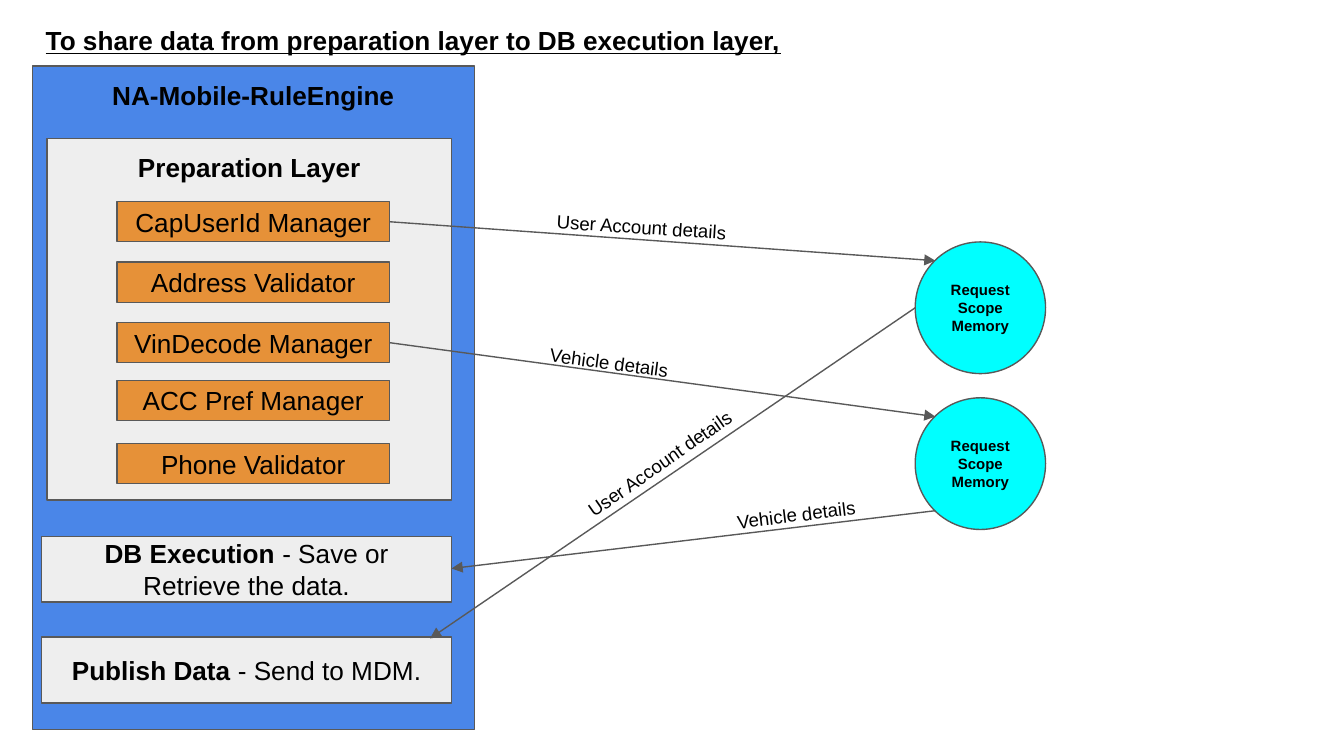
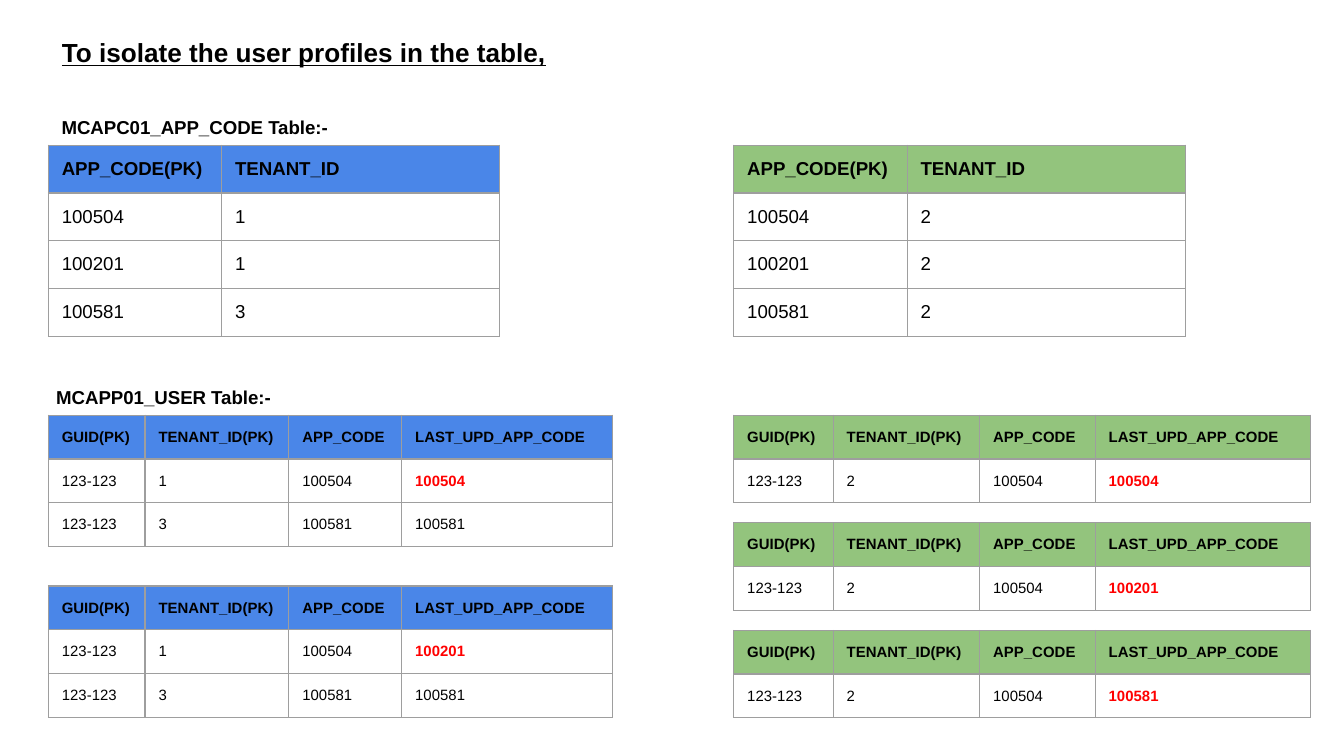
"""Two slides: data flow between layers, and user profiles by tenant."""
from dataclasses import dataclass

from lxml import etree
from pptx import Presentation
from pptx.dml.color import RGBColor
from pptx.enum.shapes import MSO_CONNECTOR, MSO_SHAPE
from pptx.enum.text import MSO_ANCHOR, MSO_AUTO_SIZE, PP_ALIGN
from pptx.oxml.ns import qn
from pptx.util import Inches, Pt

RECT, OVAL = MSO_SHAPE.RECTANGLE, MSO_SHAPE.OVAL
LINE = MSO_CONNECTOR.STRAIGHT
TOP, MIDDLE = MSO_ANCHOR.TOP, MSO_ANCHOR.MIDDLE
LEFT, CENTER = PP_ALIGN.LEFT, PP_ALIGN.CENTER
NO_FIT = MSO_AUTO_SIZE.NONE
TITLE_ONLY = 5


@dataclass(frozen=True)
class Theme:
    """Colours, type sizes and measures that the slides share."""
    font: str = "Arial"
    ink: str = "000000"
    paper: str = "FFFFFF"
    blue: str = "4A86E8"
    green: str = "93C47D"
    gray: str = "EEEEEE"
    orange: str = "E69138"
    cyan: str = "00FFFF"
    red: str = "FF0000"
    edge: str = "595959"
    grid: str = "9E9E9E"
    head: int = 14
    body: int = 10
    small: int = 8
    inset: float = 0.1
    rule: float = 0.75


def color(code):
    """Turn a hex code into a colour."""
    return RGBColor.from_string(code)


class Deck:
    """Holds the style and the current slide, and adds elements to it."""

    def __init__(self, theme):
        """Start an empty deck."""
        self.theme = theme
        self.file = Presentation()
        self.file.slide_width = Inches(10)
        self.file.slide_height = Inches(5.625)
        self.slide = None

    def start(self, title, box, anchor):
        """Add a slide and set its title."""
        self.slide = self.file.slides.add_slide(
            self.file.slide_layouts[TITLE_ONLY])
        shape = self.slide.shapes.title
        shape.left, shape.top, shape.width, shape.height = map(Inches, box)
        self.set_text(shape.text_frame, title, self.theme.head, True,
                      anchor=anchor)
        shape.text_frame.paragraphs[0].runs[0].font.underline = True

    def style(self, run, size, bold=False, ink=None):
        """Format one run."""
        font = run.font
        font.name, font.size, font.bold = self.theme.font, Pt(size), bold
        font.color.rgb = color(ink or self.theme.ink)

    def pad(self, item):
        """Give a frame or a cell the shared margins."""
        item.margin_left = item.margin_right = Inches(self.theme.inset)
        item.margin_top = item.margin_bottom = Inches(self.theme.inset)

    def set_text(self, frame, text, size, bold=False, align=LEFT, anchor=TOP,
                 rest=""):
        """Fill a frame with text, and an optional plain rest."""
        frame.auto_size = NO_FIT
        frame.word_wrap = True
        frame.vertical_anchor = anchor
        self.pad(frame)
        para = frame.paragraphs[0]
        para.text = text
        para.alignment = align
        self.style(para.runs[0], size, bold)
        if rest:
            run = para.add_run()
            run.text = rest
            self.style(run, size)

    def label(self, text, box, turn=0, bold=False):
        """Add a text box, turned by some degrees."""
        shape = self.slide.shapes.add_textbox(*map(Inches, box))
        shape.rotation = turn
        self.set_text(shape.text_frame, text, self.theme.body, bold)

    def block(self, text, box, fill, kind=RECT, size=None, bold=True,
              anchor=MIDDLE, rest=""):
        """Add a filled shape with centred text."""
        shape = self.slide.shapes.add_shape(kind, *map(Inches, box))
        shape.shadow.inherit = False
        shape.fill.solid()
        shape.fill.fore_color.rgb = color(fill)
        shape.line.color.rgb = color(self.theme.edge)
        shape.line.width = Pt(self.theme.rule)
        self.set_text(shape.text_frame, text, size or self.theme.head, bold,
                      CENTER, anchor, rest)

    def arrow(self, start, end):
        """Add a line with an arrowhead at its end."""
        link = self.slide.shapes.add_connector(
            LINE, *map(Inches, (*start, *end)))
        link.line.color.rgb = color(self.theme.edge)
        link.line.width = Pt(self.theme.rule)
        props = link.element.spPr
        etree.SubElement(props.find(qn("a:ln")), qn("a:tailEnd"),
                         type="triangle")
        etree.SubElement(props, qn("a:effectLst"))

    def border(self, cell):
        """Draw the four edges of a cell."""
        props = cell._tc.get_or_add_tcPr()
        for side in ("a:lnL", "a:lnR", "a:lnT", "a:lnB"):
            line = etree.SubElement(props, qn(side),
                                    w=str(Pt(self.theme.rule)))
            fill = etree.SubElement(line, qn("a:solidFill"))
            etree.SubElement(fill, qn("a:srgbClr"), val=self.theme.grid)

    def table(self, spot, cols, high, rows, fill, size, mark=None):
        """Add a table with a coloured head; mark is a (row, col) in red."""
        box = (*spot, sum(cols), high * len(rows))
        grid = self.slide.shapes.add_table(
            len(rows), len(cols), *map(Inches, box)).table
        grid.first_row = grid.horz_banding = False
        for col, wide in zip(grid.columns, cols):
            col.width = Inches(wide)
        for r, row in enumerate(rows):
            grid.rows[r].height = Inches(high)
            for c, text in enumerate(row):
                cell = grid.cell(r, c)
                self.border(cell)
                cell.fill.solid()
                cell.fill.fore_color.rgb = color(
                    self.theme.paper if r else fill)
                self.pad(cell)
                para = cell.text_frame.paragraphs[0]
                para.text = text
                hot = (r, c) == mark
                self.style(para.runs[0], size, hot or r == 0,
                           self.theme.red if hot else None)


def flow(deck):
    """Build the slide on sharing data between layers."""
    look = deck.theme
    deck.start("To share data from preparation layer to DB execution layer,",
               (0.24, 0.11, 9.32, 0.38), MIDDLE)
    deck.block("NA-Mobile-RuleEngine", (0.24, 0.49, 3.29, 4.94), look.blue,
               anchor=TOP)
    deck.block("Preparation Layer", (0.35, 1.03, 3.01, 2.69), look.gray,
               anchor=TOP)
    for name, rest, top in (
            ("DB Execution ", "- Save or Retrieve the data.", 3.99),
            ("Publish Data ", "- Send to MDM.", 4.74)):
        deck.block(name, (0.31, top, 3.05, 0.49), look.gray, rest=rest)
    for name, top in (("CapUserId Manager", 1.5), ("Address Validator", 1.95),
                      ("VinDecode Manager", 2.4), ("ACC Pref Manager", 2.83),
                      ("Phone Validator", 3.3)):
        deck.block(name, (0.87, top, 2.03, 0.3), look.orange, bold=False)
    for top in (1.8, 2.96):
        deck.block("Request Scope Memory", (6.81, top, 0.97, 0.98), look.cyan,
                   OVAL, look.small)
    for start, end in (((2.9, 1.65), (6.96, 1.94)),
                       ((2.9, 2.55), (6.96, 3.1)),
                       ((6.96, 3.8), (3.36, 4.23)),
                       ((6.81, 2.29), (3.2, 4.75))):
        deck.arrow(start, end)
    user, car = "User Account details", "Vehicle details"
    for text, box, turn in ((user, (4.04, 1.52, 1.97, 0.49), 3.7),
                            (car, (3.98, 2.57, 1.97, 0.49), 7.5),
                            (user, (4.2, 3.21, 1.61, 0.49), -34.8),
                            (car, (5.39, 3.63, 1.3, 0.48), -7)):
        deck.label(text, box, turn)


def users(deck):
    """Build the slide on isolating user profiles."""
    look = deck.theme
    deck.start("To isolate the user profiles in the table,",
               (0.36, 0.17, 9.57, 0.9), TOP)
    deck.label("MCAPC01_APP_CODE Table:-", (0.36, 0.76, 4.24, 0.32),
               bold=True)
    deck.label("MCAPP01_USER Table:-", (0.32, 2.77, 4.24, 0.32), bold=True)

    near, far = 0.36, 5.46
    codes = ("100504", "100201", "100581")
    for left, fill, ids in ((near, look.blue, "113"),
                            (far, look.green, "222")):
        rows = [("APP_CODE(PK)", "TENANT_ID"), *zip(codes, ids)]
        deck.table((left, 1.08), (1.29, 2.07), 0.35, rows, fill, look.body)

    head = ("GUID(PK)", "TENANT_ID(PK)", "APP_CODE", "LAST_UPD_APP_CODE")
    guid, first, last = "123-123", codes[0], codes[-1]
    sets = (
        (near, 1.27, (0.72, 1.07, 0.84, 1.57), look.blue, "1", codes[:2],
         [(guid, "3", last, last)]),
        (far, 0.8, (0.74, 1.09, 0.86, 1.6), look.green, "2", codes, []),
    )
    for left, step, cols, fill, tenant, marks, more in sets:
        for i, code in enumerate(marks):
            rows = [head, (guid, tenant, first, code), *more]
            deck.table((left, 3.09 + i * step), cols, 0.32, rows, fill,
                       look.small, (1, 3))


def main():
    """Build the deck and save it."""
    deck = Deck(Theme())
    flow(deck)
    users(deck)
    deck.file.save("out.pptx")


main()
